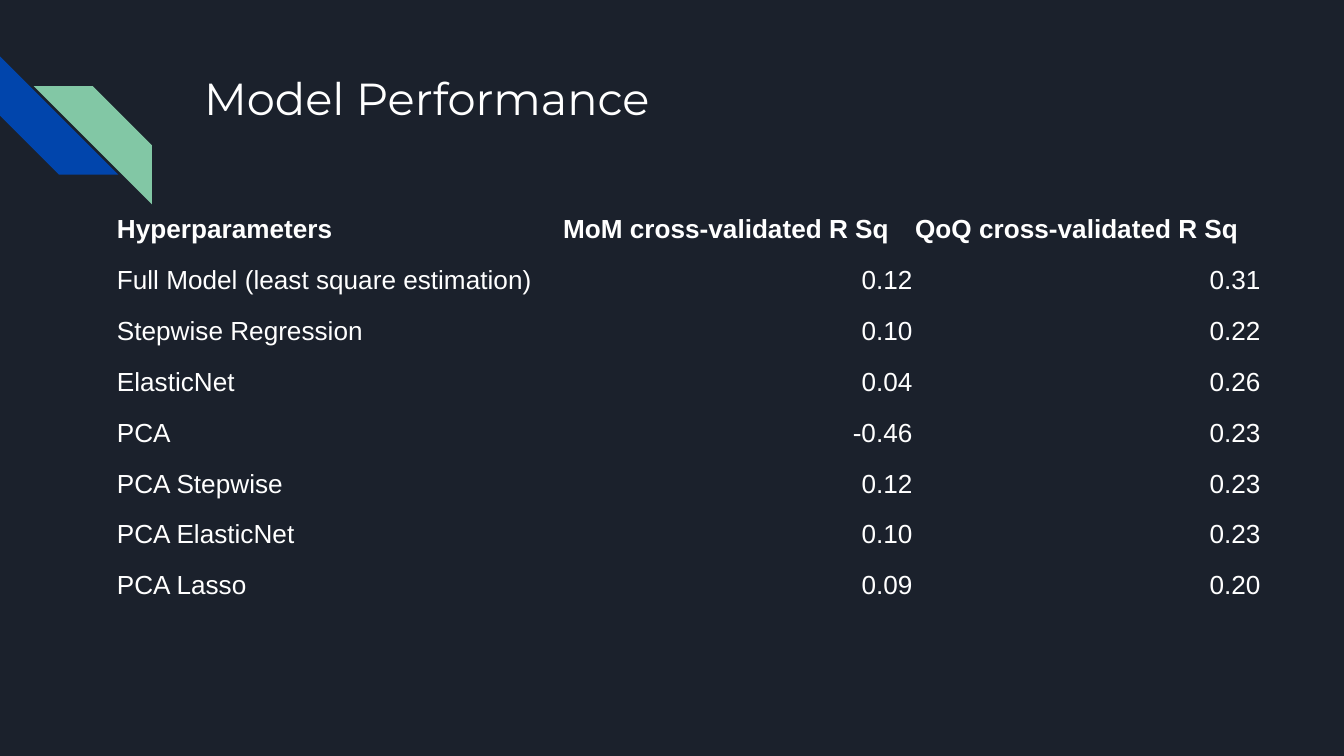
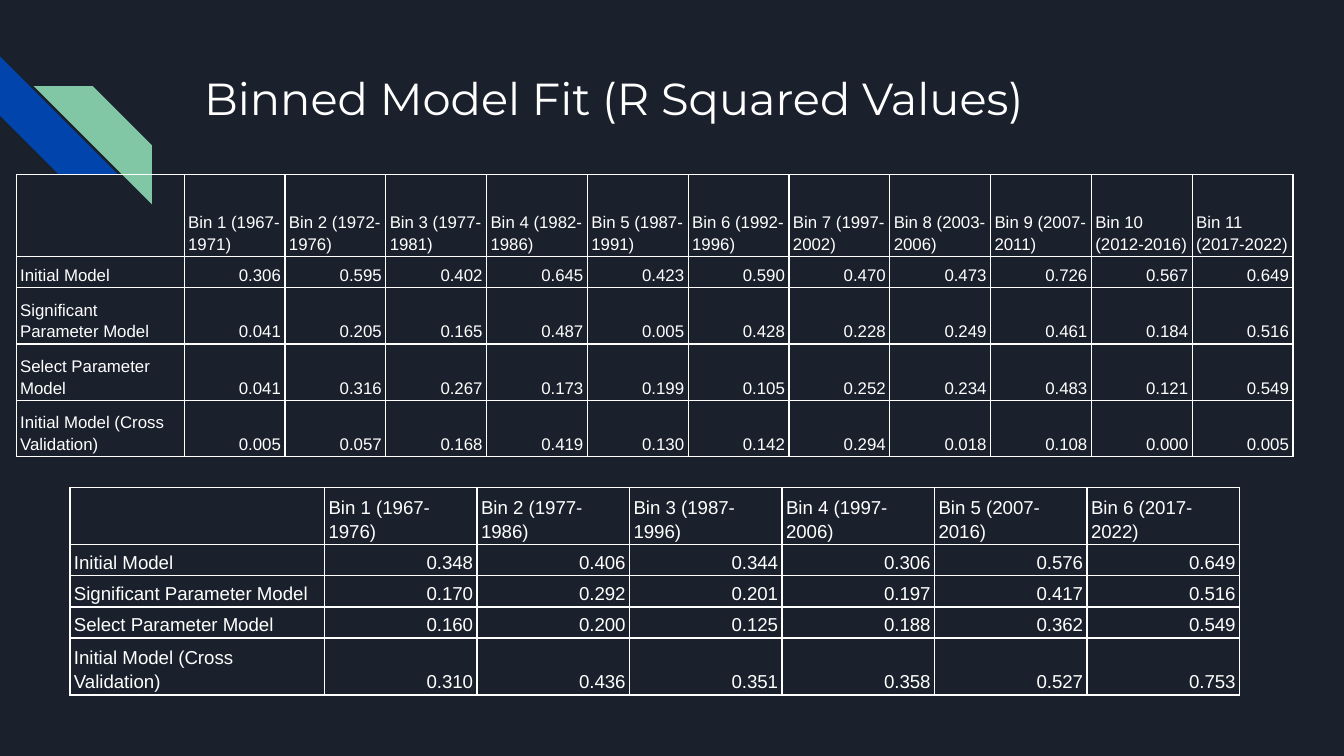
from lxml import etree
from pptx import Presentation
from pptx.dml.color import RGBColor
from pptx.enum.shapes import MSO_SHAPE
from pptx.enum.text import MSO_ANCHOR, PP_ALIGN
from pptx.oxml.ns import qn
from pptx.util import Inches, Pt

STRIPE = MSO_SHAPE.DIAGONAL_STRIPE
TOP, BOTTOM = MSO_ANCHOR.TOP, MSO_ANCHOR.BOTTOM
LEFT, RIGHT = PP_ALIGN.LEFT, PP_ALIGN.RIGHT

# Shared style
NAVY, BLUE, GREEN, WHITE = "1B212C", "0145AC", "82C7A5", "FFFFFF"
TITLE_FONT, BODY_FONT = "Montserrat", "Arial"
COLUMN = ROW = Inches(0.1)  # grid of 100 columns by 56.25 rows
COLUMNS, ROWS = 100, 56.25
TIGHT = (0.03, 0.02, 0.03, 0.02)  # cell margins in inches: left, top, right, bottom
LOOSE = (0.01, 0.01, 0.01, 0.1)


def color(hex_text):
    return RGBColor.from_string(hex_text)


class Deck:
    """Holds the style and the current slide."""

    def __init__(self):
        self.prs = Presentation()
        self.prs.slide_width = self.x(COLUMNS)
        self.prs.slide_height = self.y(ROWS)

    def x(self, columns):
        return int(columns * COLUMN)

    def y(self, rows):
        return int(rows * ROW)

    def box(self, left, top, width, height):
        return self.x(left), self.y(top), self.x(width), self.y(height)

    def slide(self, title):
        self.s = self.prs.slides.add_slide(self.prs.slide_layouts[6])
        fill = self.s.background.fill
        fill.solid()
        fill.fore_color.rgb = color(NAVY)
        self.stripe(0, 4.2, BLUE, rotation=270)
        self.stripe(2.5, 6.4, GREEN, flip=True)
        self.title(title)

    def stripe(self, left, top, fill, rotation=0, flip=False):
        sp = self.s.shapes.add_shape(STRIPE, *self.box(left, top, 8.8, 8.8))
        sp.adjustments[0] = 0.5
        sp.rotation = rotation
        sp.shadow.inherit = False
        sp.fill.solid()
        sp.fill.fore_color.rgb = color(fill)
        sp.line.fill.background()
        if flip:
            sp._element.spPr.find(qn("a:xfrm")).set("flipH", "1")

    def title(self, text):
        tf = self.s.shapes.add_textbox(*self.box(14.2, 4.3, 77, 10)).text_frame
        tf.word_wrap = True
        tf.vertical_anchor = TOP
        tf.margin_left = tf.margin_top = tf.margin_right = tf.margin_bottom = Inches(0.1)
        p = tf.paragraphs[0]
        p.text = text
        self.font(p, TITLE_FONT, 24)

    def font(self, p, name, size, bold=False):
        f = p.font
        f.name, f.size, f.bold = name, Pt(size), bold
        f.color.rgb = color(WHITE)

    def table(self, left, top, widths, heights, rows, size, margins,
              border=None, bold_header=False):
        frame = self.s.shapes.add_table(
            len(rows), len(widths), *self.box(left, top, sum(widths), sum(heights)))
        table = frame.table
        table.first_row = table.horz_banding = False
        for column, width in zip(table.columns, widths):
            column.width = self.x(width)
        for row, height in zip(table.rows, heights):
            row.height = self.y(height)
        for i, values in enumerate(rows):
            for j, text in enumerate(values):
                align = RIGHT if i and j else LEFT
                bold = bold_header and i == 0
                self.cell(table.cell(i, j), text, size, margins, align, bold, border)

    def cell(self, cell, text, size, margins, align, bold, border):
        (cell.margin_left, cell.margin_top,
         cell.margin_right, cell.margin_bottom) = map(Inches, margins)
        cell.vertical_anchor = BOTTOM
        p = cell.text_frame.paragraphs[0]
        p.text = text
        p.alignment = align
        p.line_spacing = 1.15
        self.font(p, BODY_FONT, size, bold)
        self.borders(cell, border)
        cell.fill.background()

    def borders(self, cell, border):
        tcPr = cell._tc.get_or_add_tcPr()
        for side in ("a:lnL", "a:lnR", "a:lnT", "a:lnB"):
            ln = etree.SubElement(tcPr, qn(side), w=str(Pt(0.75)))
            if border:
                fill = etree.SubElement(ln, qn("a:solidFill"))
                etree.SubElement(fill, qn("a:srgbClr"), val=border)
            else:
                etree.SubElement(ln, qn("a:noFill"))


# Table contents
MODELS = ["Initial Model", "Significant Parameter Model", "Select Parameter Model",
          "Initial Model (Cross Validation)"]

PERFORMANCE = [
    ("Hyperparameters", "MoM cross-validated R Sq", "QoQ cross-validated R Sq"),
    ("Full Model (least square estimation)", "0.12", "0.31"),
    ("Stepwise Regression", "0.10", "0.22"),
    ("ElasticNet", "0.04", "0.26"),
    ("PCA", "-0.46", "0.23"),
    ("PCA Stepwise", "0.12", "0.23"),
    ("PCA ElasticNet", "0.10", "0.23"),
    ("PCA Lasso", "0.09", "0.20"),
]

TEN_YEAR_BINS = ["1967-1976", "1977-1986", "1987-1996", "1997-2006", "2007-2016",
                 "2017-2022"]
TEN_YEAR_FIT = [
    (0.348, 0.406, 0.344, 0.306, 0.576, 0.649),
    (0.170, 0.292, 0.201, 0.197, 0.417, 0.516),
    (0.160, 0.200, 0.125, 0.188, 0.362, 0.549),
    (0.310, 0.436, 0.351, 0.358, 0.527, 0.753),
]

FIVE_YEAR_BINS = ["1967-1971", "1972-1976", "1977-1981", "1982-1986", "1987-1991",
                  "1992-1996", "1997-2002", "2003-2006", "2007-2011", "2012-2016",
                  "2017-2022"]
FIVE_YEAR_FIT = [
    (0.306, 0.595, 0.402, 0.645, 0.423, 0.590, 0.470, 0.473, 0.726, 0.567, 0.649),
    (0.041, 0.205, 0.165, 0.487, 0.005, 0.428, 0.228, 0.249, 0.461, 0.184, 0.516),
    (0.041, 0.316, 0.267, 0.173, 0.199, 0.105, 0.252, 0.234, 0.483, 0.121, 0.549),
    (0.005, 0.057, 0.168, 0.419, 0.130, 0.142, 0.294, 0.018, 0.108, 0.000, 0.005),
]


def fit_rows(bins, fit):
    header = [""] + [f"Bin {n} ({years})" for n, years in enumerate(bins, 1)]
    return [header] + [[model] + [f"{value:.3f}" for value in values]
                       for model, values in zip(MODELS, fit)]


def main():
    deck = Deck()

    # Model performance
    deck.slide("Model Performance")
    deck.table(8.6, 15.4, [33.2, 26.2, 25.9], [2.5] * len(PERFORMANCE), PERFORMANCE,
               14, LOOSE, bold_header=True)

    # Binned fit: ten-year bins below, five-year bins above
    deck.slide("Binned Model Fit (R Squared Values)")
    deck.table(5.2, 36.3, [18.95] + [11.35] * len(TEN_YEAR_BINS),
               [3.9, 2.2, 2.2, 2.2, 3.9], fit_rows(TEN_YEAR_BINS, TEN_YEAR_FIT),
               10, TIGHT, border=WHITE)
    deck.table(1.2, 13, [12.5] + [7.5] * len(FIVE_YEAR_BINS),
               [6.1, 2.3, 4.2, 4.2, 4.2], fit_rows(FIVE_YEAR_BINS, FIVE_YEAR_FIT),
               9, TIGHT, border=WHITE)

    deck.prs.save("out.pptx")


if __name__ == "__main__":
    main()
